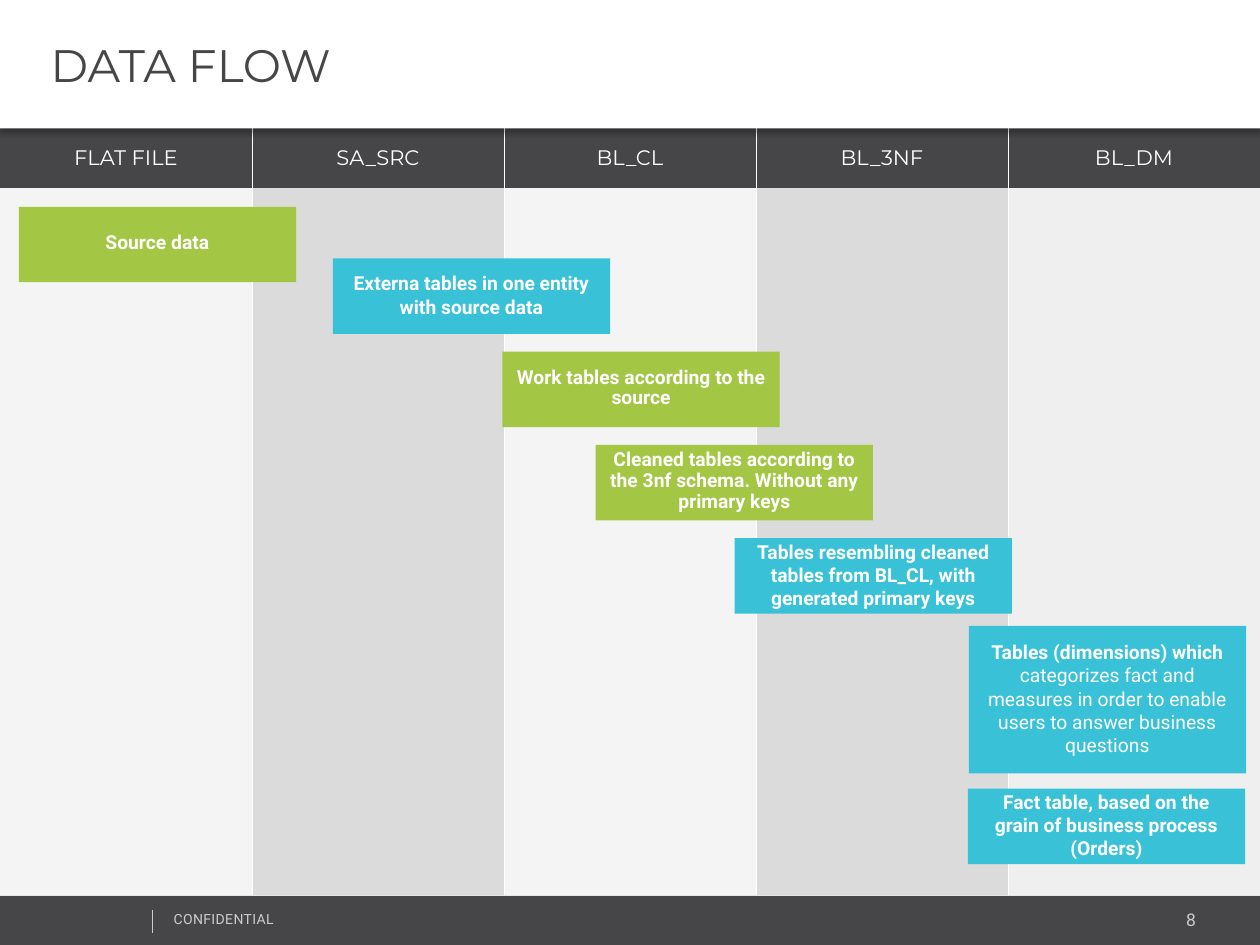
from lxml import etree
from pptx import Presentation
from pptx import util as u
from pptx.dml.color import RGBColor
from pptx.enum import shapes, text
from pptx.oxml import parse_xml
from pptx.oxml.ns import nsdecls, qn

DARK, PALE, WHITE = "464547", "CCCCCC", "FFFFFF"
GREEN, BLUE = "A3C644", "39C2D7"
WIDE, COL = 25.4, 5.08
MID = text.MSO_ANCHOR.MIDDLE
HEADS = ["FLAT FILE", "SA_SRC", "BL_CL", "BL_3NF", "BL_DM"]
ALPHAS = [20, 70, 20, 70, 30]
CLEAN = "Cleaned tables according to the 3nf schema. Without any primary keys"
KEYS = "Tables resembling cleaned tables from BL_CL, with generated primary keys"
FACT = "Fact table, based on the grain of business process (Orders)"
DIMS = "categorizes fact and measures in order to enable users to answer business questions"
STEPS = [
    (0.38, 4.17, 1.52, GREEN, ["Source data"]),
    (6.71, 5.21, 1.52, BLUE, ["Externa tables in one entity with source data"]),
    (10.13, 7.09, 1.52, GREEN, ["Work tables according to the source"]),
    (19.51, 15.9, 1.52, BLUE, [FACT]),
    (19.53, 12.62, 2.97, BLUE, ["Tables (dimensions) which ", DIMS]),
    (14.81, 10.85, 1.52, BLUE, [KEYS]),
]
LAST = (12.01, 8.97, 1.52, GREEN, [CLEAN])


def color(code):
    """Turn a hex string into a colour."""
    return RGBColor.from_string(code)


def apply(item, form):
    """Set each attribute of item from a dict."""
    for name, value in form.items():
        setattr(item, name, value)


def place(*sizes):
    """Turn centimetres into lengths."""
    return [u.Cm(size) for size in sizes]


def write(para, words, size, face, code, bold=False):
    """Add one styled run to a paragraph."""
    run = para.add_run()
    run.text = words
    apply(run.font, {"size": u.Pt(size), "name": face, "bold": bold})
    run.font.color.rgb = color(code)
    return run


def panel(slide, box, code):
    """Draw a plain filled rectangle."""
    shape = slide.shapes.add_shape(shapes.MSO_SHAPE.RECTANGLE, *place(*box))
    shape.shadow.inherit = False
    shape.fill.solid()
    shape.fill.fore_color.rgb = color(code)
    shape.line.fill.background()
    return shape


def step(slide, left, top, high, code, parts):
    """Draw a flow box whose first part is bold."""
    frame = panel(slide, (left, top, 5.59, high), code).text_frame
    apply(frame, {"word_wrap": True, "vertical_anchor": MID,
                  "margin_top": u.Cm(0.08), "margin_bottom": u.Cm(0.13)})
    para = frame.paragraphs[0]
    apply(para, {"alignment": text.PP_ALIGN.CENTER,
                 "line_spacing": 0.9 if code == GREEN else 1.0})
    for num, part in enumerate(parts):
        write(para, part, 11, "Roboto", WHITE, num == 0)


def label(slide, box, words, size, align):
    """Add a pale footer text."""
    frame = slide.shapes.add_textbox(*place(*box)).text_frame
    frame.word_wrap = True
    para = frame.paragraphs[0]
    para.alignment = align
    return write(para, words, size, "Roboto", PALE)


def footer(slide):
    """Draw the bar, its texts and the divider."""
    panel(slide, (0, 18.06, WIDE, 1.02), DARK)
    label(slide, (20.22, 18.21, 4.14, 0.69), "8", 10, text.PP_ALIGN.RIGHT)
    run = label(slide, (3.25, 18.24, 6.43, 0.61), "CONFIDENTIAL", 8, text.PP_ALIGN.LEFT)
    run.font._element.set("spc", "20")
    line = slide.shapes.add_connector(
        shapes.MSO_CONNECTOR.STRAIGHT, *place(3.07, 18.34, 3.07, 18.8))
    line.line.color.rgb = color(PALE)
    line.line.width = u.Pt(0.25)
    etree.SubElement(line._element.spPr, qn("a:effectLst"))


def border(cell, tags):
    """Put thin white lines on the given cell sides."""
    for spot, tag in enumerate(tags):
        edge = parse_xml(
            f'<a:{tag} {nsdecls("a")} w="3175"><a:solidFill>'
            f'<a:srgbClr val="{WHITE}"/></a:solidFill></a:{tag}>')
        cell._tc.get_or_add_tcPr().insert(spot, edge)


def paint(cell, code, alpha=100):
    """Fill a cell, with an opacity in percent."""
    cell.fill.solid()
    cell.fill.fore_color.rgb = color(code)
    if alpha < 100:
        tone = next(cell._tc.tcPr.iter(qn("a:srgbClr")))
        etree.SubElement(tone, qn("a:alpha"), val=str(alpha * 1000))


def lanes(slide):
    """Build the table of layer columns."""
    frame = slide.shapes.add_table(2, len(HEADS), *place(0, 2.57, WIDE, 15.47))
    table = frame.table
    apply(table, {"first_row": False, "horz_banding": False})
    style = table._tbl.tblPr.find(qn("a:tableStyleId"))
    style.text = "{2D5ABB26-0587-4C30-8999-92F81FD0307C}"
    for row, high in zip(table.rows, (1.22, 14.25)):
        row.height = u.Cm(high)
    for num, (head, alpha) in enumerate(zip(HEADS, ALPHAS)):
        table.columns[num].width = u.Cm(COL)
        top, body = table.cell(0, num), table.cell(1, num)
        top.vertical_anchor = MID
        para = top.text_frame.paragraphs[0]
        para.alignment = text.PP_ALIGN.CENTER
        write(para, head, 12, "Montserrat", WHITE)
        paint(top, DARK)
        paint(body, PALE, alpha)
        tags = ["lnL"] * (num > 0) + ["lnR"] * (num < len(HEADS) - 1)
        for cell in (top, body):
            border(cell, tags)


def title(slide, words):
    """Draw the white title band with its soft shadow."""
    shape = panel(slide, (0, 0, WIDE, 2.59), WHITE)
    glow = shape._element.spPr.find(qn("a:effectLst"))
    glow.append(parse_xml(
        f'<a:outerShdw {nsdecls("a")} blurRad="39370" dist="25400" dir="5400000"'
        ' algn="t" rotWithShape="0"><a:srgbClr val="000000">'
        '<a:alpha val="30000"/></a:srgbClr></a:outerShdw>'))
    frame = shape.text_frame
    apply(frame, {"word_wrap": True, "vertical_anchor": MID, "margin_left": u.Cm(1.02)})
    para = frame.paragraphs[0]
    para.alignment = text.PP_ALIGN.LEFT
    write(para, words, 26, "Montserrat", DARK)


def main():
    """Build and save the slide."""
    deck = Presentation()
    apply(deck, {"slide_width": u.Cm(WIDE), "slide_height": u.Cm(19.05)})
    slide = deck.slides.add_slide(deck.slide_layouts[6])
    footer(slide)
    lanes(slide)
    for item in STEPS:
        step(slide, *item)
    title(slide, "DATA FLOW")
    step(slide, *LAST)
    deck.save("out.pptx")


if __name__ == "__main__":
    main()
